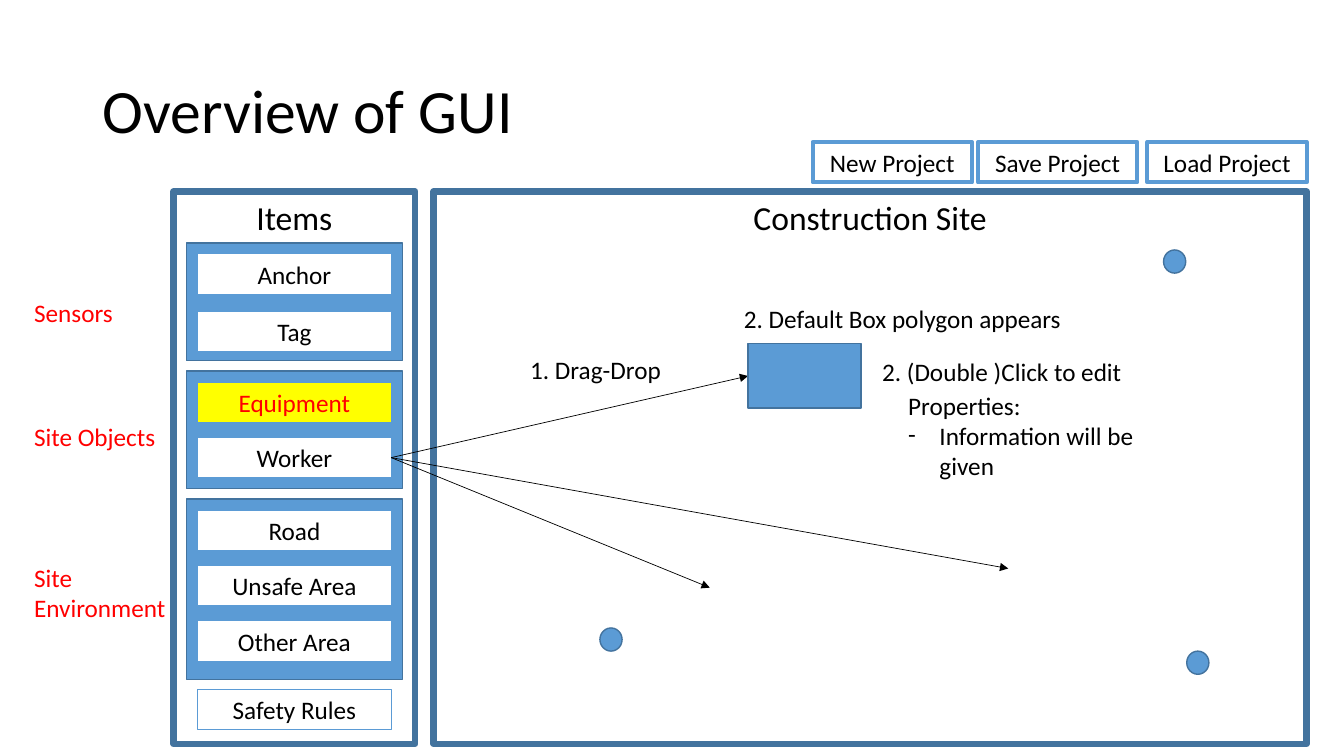
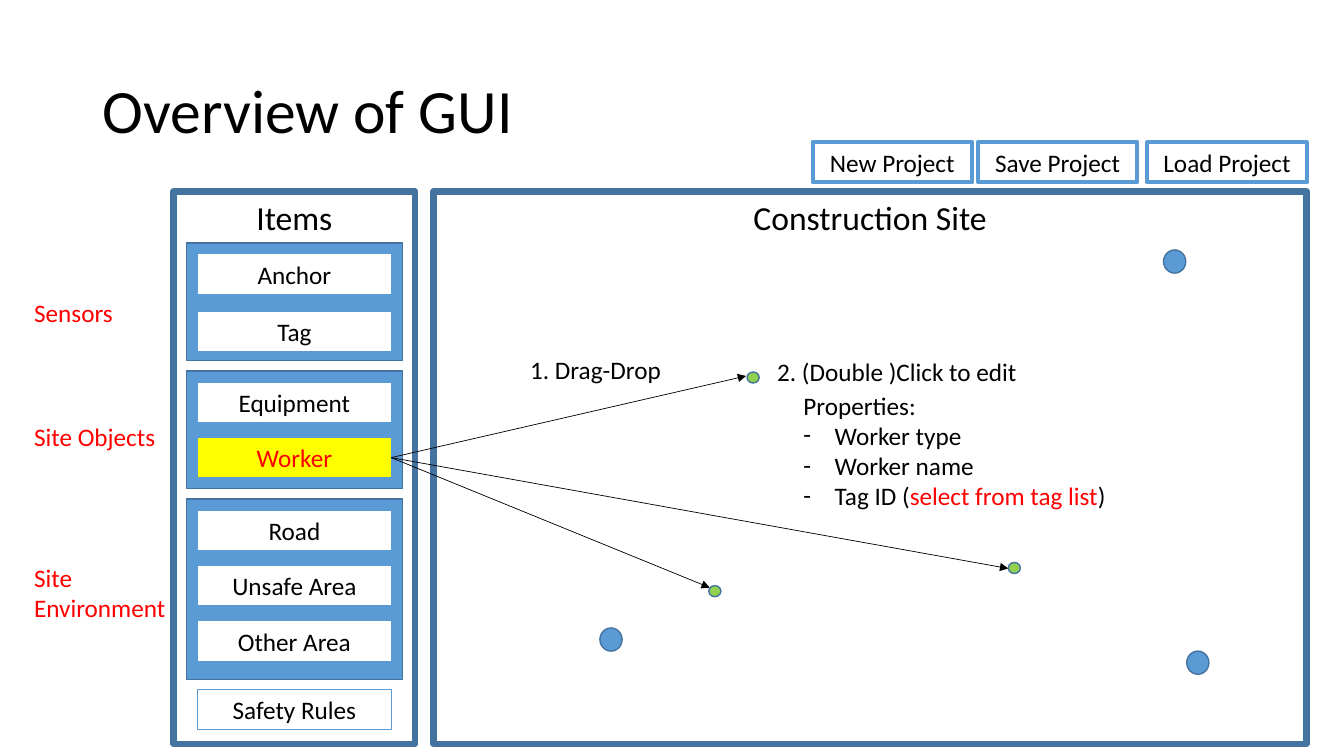
"""Build two slides that explain the GUI of a construction site planner."""
from dataclasses import dataclass

import lxml.etree
import pptx
import pptx.dml.color
import pptx.enum.shapes
import pptx.enum.text
import pptx.oxml.ns
import pptx.shapes.autoshape
import pptx.shapes.connector
import pptx.slide
import pptx.text.text
import pptx.util

Inches = pptx.util.Inches
Shape = pptx.shapes.autoshape.Shape
RECTANGLE = pptx.enum.shapes.MSO_SHAPE.RECTANGLE
OVAL = pptx.enum.shapes.MSO_SHAPE.OVAL
CENTER = pptx.enum.text.PP_ALIGN.CENTER

FONT = "Calibri"
BLUE, DARK_BLUE, GREEN = "5B9BD5", "43739E", "92D050"
BLACK, WHITE, RED, YELLOW = "000000", "FFFFFF", "FF0000", "FFFF00"

ITEM_LEFT, ITEM_WIDTH, ROW_HEIGHT = 1.96, 1.92, 0.4
GROUP_TOP, GROUP_GAP, GROUP_PADDING = 2.41, 0.1, 0.11
ARROW_ENDS = [(7.04, 5.83), (10, 5.64), (7.4, 3.73)]


@dataclass(frozen=True)
class Box:
    left: float
    top: float
    width: float
    height: float


@dataclass(frozen=True)
class Style:
    fill: str | None
    line: str
    weight: float


@dataclass(frozen=True)
class ItemGroup:
    caption: str
    caption_top: float
    caption_height: float
    height: float
    pitch: float
    items: tuple[str, ...]


@dataclass(frozen=True)
class Part:
    text: str
    color: str = BLACK


SOLID = Style(BLUE, DARK_BLUE, 1)
WORKER_DOT = Style(GREEN, DARK_BLUE, 1)
PANEL = Style(None, DARK_BLUE, 4.5)
ITEM = Style(WHITE, BLUE, 0.75)
SELECTED_ITEM = Style(YELLOW, BLUE, 0.75)
BUTTON = Style(WHITE, BLUE, 3)

GROUPS = [
    ItemGroup("Sensors", 2.9, 0.4, 1.17, 0.57, ("Anchor", "Tag")),
    ItemGroup("Site Objects", 4.13, 0.4, 1.17, 0.55, ("Equipment", "Worker")),
    ItemGroup("Site Environment", 5.53, 0.71, 1.79, 0.55,
              ("Road", "Unsafe Area", "Other Area")),
]
PANELS = [("Items", Box(1.72, 1.9, 2.4, 5.48)),
          ("Construction Site", Box(4.3, 1.9, 8.66, 5.48))]
BUTTONS = [("New Project", 8.06), ("Save Project", 9.7), ("Load Project", 11.38)]
ANCHOR_DOTS = [(11.54, 2.48), (11.77, 6.46), (5.95, 6.23)]
WORKER_DOTS = [(7.03, 5.81), (10, 5.58), (7.41, 3.69)]


def rgb(color: str) -> pptx.dml.color.RGBColor:
    """Turn a hex string into a colour."""
    return pptx.dml.color.RGBColor.from_string(color)


def lengths(box: Box) -> tuple[pptx.util.Length, ...]:
    """Give the four measures of a box as lengths."""
    return Inches(box.left), Inches(box.top), Inches(box.width), Inches(box.height)


def format_run(run: pptx.text.text._Run, size: float, color: str) -> None:
    """Set the font of one run."""
    run.font.name = FONT
    run.font.size = pptx.util.Pt(size)
    run.font.color.rgb = rgb(color)


def add_box(slide: pptx.slide.Slide, box: Box, style: Style, text: str = "",
            size: float = 18, color: str = BLACK, kind: int = RECTANGLE) -> Shape:
    """Draw a preset shape, with centred text at its top if there is any."""
    shape = slide.shapes.add_shape(kind, *lengths(box))
    shape.shadow.inherit = False
    if style.fill:
        shape.fill.solid()
        shape.fill.fore_color.rgb = rgb(style.fill)
    else:
        shape.fill.background()
    shape.line.color.rgb = rgb(style.line)
    shape.line.width = pptx.util.Pt(style.weight)
    if text:
        shape.text_frame.text = text
        shape.text_frame.vertical_anchor = pptx.enum.text.MSO_ANCHOR.TOP
        paragraph = shape.text_frame.paragraphs[0]
        paragraph.alignment = CENTER
        format_run(paragraph.runs[0], size, color)
    return shape


def add_label(slide: pptx.slide.Slide, box: Box, text: str,
              size: float = 18, color: str = BLACK) -> Shape:
    """Write one wrapped paragraph in a text box."""
    shape = slide.shapes.add_textbox(*lengths(box))
    shape.text_frame.word_wrap = True
    shape.text_frame.text = text
    format_run(shape.text_frame.paragraphs[0].runs[0], size, color)
    return shape


def add_bullet(paragraph: pptx.text.text._Paragraph) -> None:
    """Give a paragraph a hanging dash."""
    properties = paragraph._p.get_or_add_pPr()
    properties.set("marL", str(Inches(0.31)))
    properties.set("indent", str(Inches(-0.31)))
    font = lxml.etree.SubElement(properties, pptx.oxml.ns.qn("a:buFont"))
    font.set("typeface", FONT)
    bullet = lxml.etree.SubElement(properties, pptx.oxml.ns.qn("a:buChar"))
    bullet.set("char", "-")


def add_properties(slide: pptx.slide.Slide, box: Box, rows: list[list[Part]]) -> None:
    """Write the list of properties that a click opens."""
    shape = add_label(slide, box, "Properties:")
    for row in rows:
        paragraph = shape.text_frame.add_paragraph()
        add_bullet(paragraph)
        for part in row:
            run = paragraph.add_run()
            run.text = part.text
            format_run(run, 18, part.color)


def add_arrow(slide: pptx.slide.Slide, source: Shape,
              end: tuple[float, float]) -> pptx.shapes.connector.Connector:
    """Draw a thin arrow from the right side of a rectangle to a point."""
    end_x, end_y = Inches(end[0]), Inches(end[1])
    connector = slide.shapes.add_connector(
        pptx.enum.shapes.MSO_CONNECTOR.STRAIGHT, end_x, end_y, end_x, end_y)
    connector.begin_connect(source, 3)
    connector.line.color.rgb = rgb(BLACK)
    connector.line.width = pptx.util.Pt(0.5)
    head = lxml.etree.SubElement(connector.line._get_or_add_ln(),
                                 pptx.oxml.ns.qn("a:tailEnd"))
    head.set("type", "triangle")
    lxml.etree.SubElement(connector._element.spPr, pptx.oxml.ns.qn("a:effectLst"))
    return connector


def add_item(slide: pptx.slide.Slide, name: str, top: float, selected: str) -> Shape:
    """Draw one entry of the item list."""
    box = Box(ITEM_LEFT, top, ITEM_WIDTH, ROW_HEIGHT)
    if name == selected:
        return add_box(slide, box, SELECTED_ITEM, name, color=RED)
    return add_box(slide, box, ITEM, name)


def add_items(slide: pptx.slide.Slide, selected: str) -> dict[str, Shape]:
    """Draw the item groups with their captions and return the entries by name."""
    items = {}
    top = GROUP_TOP
    for group in GROUPS:
        add_box(slide, Box(1.85, top, 2.14, group.height), SOLID)
        add_label(slide, Box(0.24, group.caption_top, 1.57, group.caption_height),
                  group.caption, color=RED)
        for index, name in enumerate(group.items):
            item_top = top + GROUP_PADDING + index * group.pitch
            items[name] = add_item(slide, name, item_top, selected)
        top += group.height + GROUP_GAP
    add_item(slide, "Safety Rules", 6.84, selected)
    return items


def add_gui_slide(
    presentation: pptx.presentation.Presentation, selected: str
) -> tuple[pptx.slide.Slide, list[pptx.shapes.connector.Connector]]:
    """Add a slide with the whole GUI and return it with its arrows."""
    slide = presentation.slides.add_slide(presentation.slide_layouts[6])
    title = add_label(slide, Box(0.92, 0.4, 11.5, 1.45), "Overview of GUI", 44)
    title.text_frame.vertical_anchor = pptx.enum.text.MSO_ANCHOR.MIDDLE
    title.text_frame.paragraphs[0].line_spacing = 0.9
    for name, box in PANELS:
        add_box(slide, box, PANEL, name, 24)
    items = add_items(slide, selected)
    for name, left in BUTTONS:
        add_box(slide, Box(left, 1.41, 1.58, ROW_HEIGHT), BUTTON, name)
    add_label(slide, Box(5.16, 3.47, 1.58, ROW_HEIGHT), "1. Drag-Drop")
    for left, top in ANCHOR_DOTS:
        add_box(slide, Box(left, top, 0.22, 0.23), SOLID, kind=OVAL)
    arrows = [add_arrow(slide, items["Worker"], end) for end in ARROW_ENDS]
    return slide, arrows


def add_click_note(slide: pptx.slide.Slide, left: float, width: float,
                   height: float, rows: list[list[Part]]) -> None:
    """Write the second step and, indented below it, the properties."""
    add_label(slide, Box(left, 3.49, 3.51, ROW_HEIGHT), "2. (Double )Click to edit")
    add_properties(slide, Box(left + 0.26, 3.82, width, height), rows)


def add_equipment_slide(presentation: pptx.presentation.Presentation) -> None:
    """Show how equipment is placed."""
    slide, arrows = add_gui_slide(presentation, "Equipment")
    add_click_note(slide, 8.65, 2.47, 1.01, [[Part("Information will be given")]])
    polygon = add_box(slide, Box(7.42, 3.41, 1.12, 0.64), SOLID)
    arrows[-1].end_connect(polygon, 1)
    add_label(slide, Box(7.28, 2.96, 3.42, ROW_HEIGHT), "2. Default Box polygon appears")


def add_worker_slide(presentation: pptx.presentation.Presentation) -> None:
    """Show how workers are placed."""
    slide, _ = add_gui_slide(presentation, "Worker")
    add_click_note(slide, 7.61, 3.41, 1.31, [
        [Part("Worker type")],
        [Part("Worker name")],
        [Part("Tag ID ("), Part("select from tag list", RED), Part(")")],
    ])
    for left, top in WORKER_DOTS:
        add_box(slide, Box(left, top, 0.12, 0.11), WORKER_DOT, kind=OVAL)


def main() -> None:
    """Build and save the presentation."""
    presentation = pptx.Presentation()
    presentation.slide_width = Inches(13.33)
    presentation.slide_height = Inches(7.5)
    add_equipment_slide(presentation)
    add_worker_slide(presentation)
    presentation.save("out.pptx")


if __name__ == "__main__":
    main()
